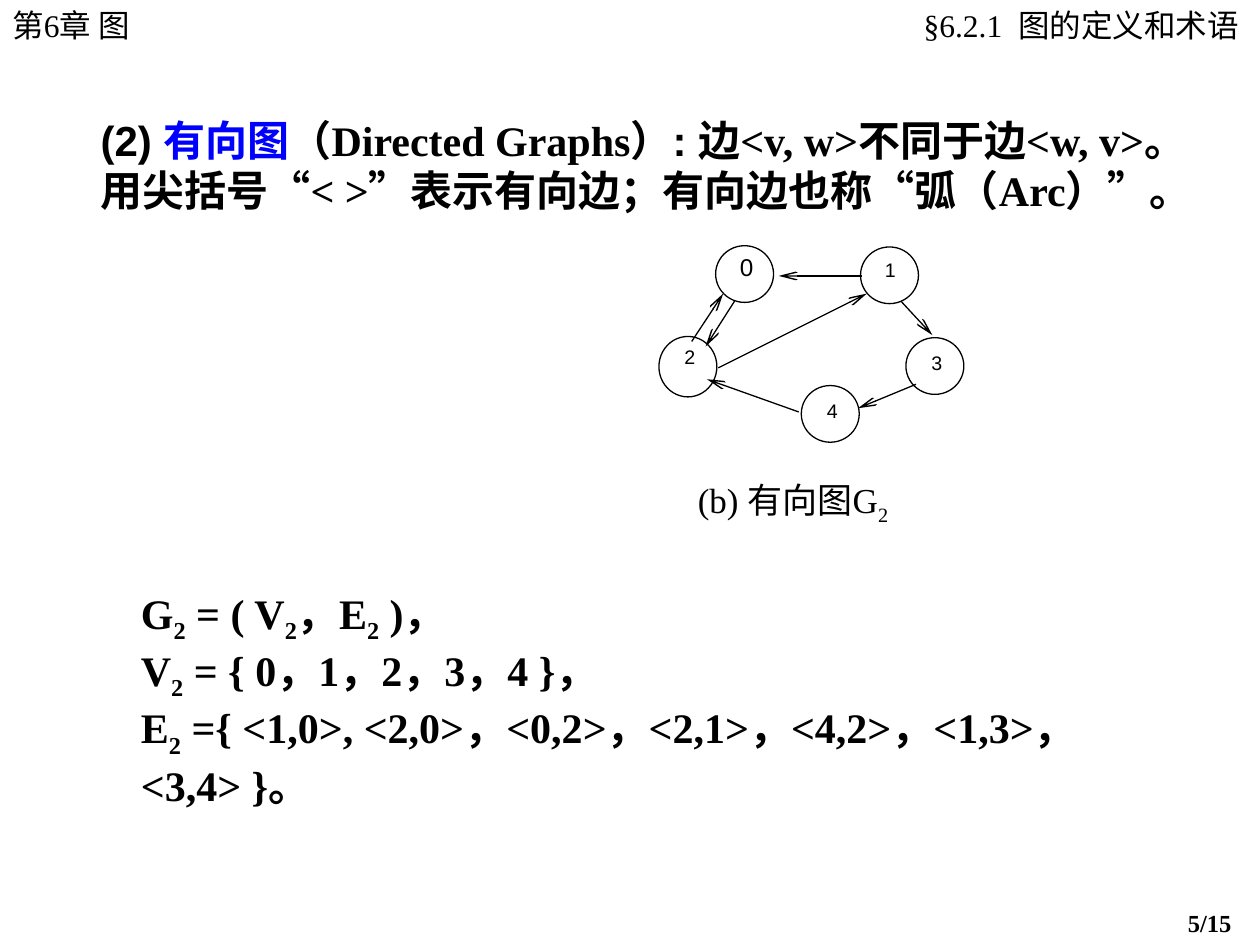
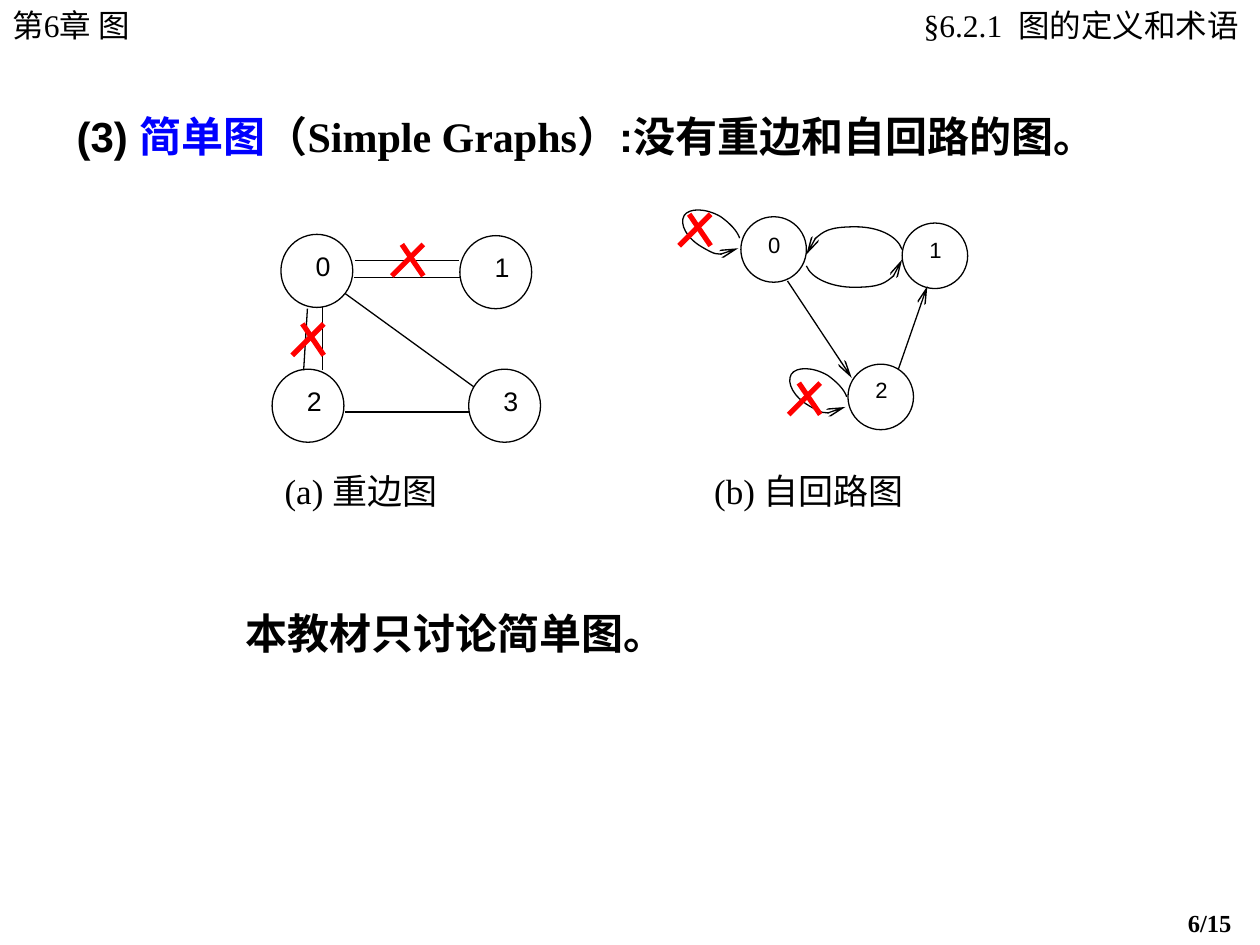
import dataclasses

import lxml.etree
import pptx
import pptx.dml.color
import pptx.enum.shapes
import pptx.enum.text
import pptx.oxml.ns
import pptx.util

Inches = pptx.util.Inches
SHAPES = pptx.enum.shapes.MSO_SHAPE
ALIGN = pptx.enum.text.PP_ALIGN
qn = pptx.oxml.ns.qn


@dataclasses.dataclass(frozen=True)
class Theme:
    ink: str = "000000"
    paper: str = "FFFFFF"
    term: str = "0000FF"
    wrong: str = "FF0000"
    serif: str = "Times New Roman"
    sans: str = "Arial"
    header: float = 18
    body: float = 24
    caption: float = 20
    page: float = 14
    thin: float = 0.75
    thick: float = 3


THEME = Theme()
SANS = {"font": THEME.sans}
TERM = {"color": THEME.term}


def rgb(value):
    return pptx.dml.color.RGBColor.from_string(value)


def add_run(p, text, size=THEME.body, font=THEME.serif, color=THEME.ink,
            bold=False, sub=False):
    r = p.add_run()
    r.text = text
    r.font.size = pptx.util.Pt(size)
    r.font.name = font
    r.font.bold = bold
    r.font.color.rgb = rgb(color)
    rpr = r._r.get_or_add_rPr()
    rpr.set("lang", "zh-CN")
    if sub:
        rpr.set("baseline", "-25000")


def write(tf, paragraphs, align=ALIGN.LEFT, spacing=None, tab=None, **base):
    """Fill tf; a paragraph is a string or a list of (text, format) runs."""
    for i, runs in enumerate(paragraphs):
        p = tf.paragraphs[0] if i == 0 else tf.add_paragraph()
        p.alignment = align
        if spacing:
            p.line_spacing = spacing
        if tab:
            tabs = lxml.etree.SubElement(p._p.get_or_add_pPr(), qn("a:tabLst"))
            lxml.etree.SubElement(tabs, qn("a:tab"),
                                  pos=str(Inches(tab)), algn="l")
        for text, fmt in [(runs, {})] if isinstance(runs, str) else runs:
            add_run(p, text, **{**base, **fmt})


def add_text(slide, box, paragraphs, right_inset=0.1, **fmt):
    sp = slide.shapes.add_textbox(*map(Inches, box))
    tf = sp.text_frame
    tf.word_wrap = True
    tf.auto_size = pptx.enum.text.MSO_AUTO_SIZE.SHAPE_TO_FIT_TEXT
    tf.margin_right = Inches(right_inset)
    write(tf, paragraphs, **fmt)


def formula(text):
    """Split text into runs; the character after each _ is a subscript."""
    first, *rest = text.split("_")
    runs = [(first, {})]
    for part in rest:
        runs.append((part[0], {"sub": True}))
        if part[1:]:
            runs.append((part[1:], {}))
    return runs


def style_line(sp, color=THEME.ink, width=THEME.thin, arrow=False):
    sp.line.color.rgb = rgb(color)
    sp.line.width = pptx.util.Pt(width)
    if arrow:
        lxml.etree.SubElement(sp.line._get_or_add_ln(), qn("a:tailEnd"),
                              type="arrow", w="sm", len="lg")


def add_line(slide, x1, y1, x2, y2, **style):
    sp = slide.shapes.add_connector(
        pptx.enum.shapes.MSO_CONNECTOR.STRAIGHT,
        *map(Inches, (x1, y1, x2, y2)))
    style_line(sp, **style)
    lxml.etree.SubElement(sp._element.spPr, qn("a:effectLst"))


def add_solid(slide, kind, box):
    sp = slide.shapes.add_shape(kind, *map(Inches, box))
    sp.shadow.inherit = False
    sp.fill.solid()
    sp.fill.fore_color.rgb = rgb(THEME.paper)
    return sp


def add_curve(slide, left, top, points):
    """Arrow along cubic Bezier segments: a start, then three points each."""
    start, *rest = [(Inches(left + x), Inches(top + y)) for x, y in points]
    builder = slide.shapes.build_freeform(*start)
    builder.add_line_segments(rest, close=False)
    sp = builder.convert_to_shape()
    lines = list(sp._element.iter(qn("a:lnTo")))
    outline = lines[0].getparent()
    for i in range(0, len(lines), 3):
        curve = lxml.etree.SubElement(outline, qn("a:cubicBezTo"))
        for line in lines[i:i + 3]:
            curve.append(line[0])
            outline.remove(line)
    sp.shadow.inherit = False
    sp.fill.background()
    style_line(sp, arrow=True)


def add_node(slide, x, y, name, width, height, label, size, dx, dy,
             spacing=0.8):
    style_line(add_solid(slide, SHAPES.OVAL, (x, y, width, height)))
    sp = add_solid(slide, SHAPES.RECTANGLE, (x + dx, y + dy, label, label))
    sp.line.fill.background()
    tf = sp.text_frame
    tf.margin_left = tf.margin_top = tf.margin_right = tf.margin_bottom = 0
    tf.vertical_anchor = pptx.enum.text.MSO_ANCHOR.TOP
    write(tf, [name], align=ALIGN.CENTER, spacing=spacing, size=size, **SANS)


def add_graph(slide, left, top, nodes, edges, arrow, **node_style):
    """Nodes are (x, y, overrides) in order of number; edges are x1, y1, x2, y2."""
    for number, (x, y, own) in enumerate(nodes):
        add_node(slide, left + x, top + y, str(number), **{**node_style, **own})
    for x1, y1, x2, y2 in edges:
        add_line(slide, left + x1, top + y1, left + x2, top + y2, arrow=arrow)


def add_cross(slide, left, top, size=0.25):
    for x1, x2 in ((0.08, size), (size, 0)):
        add_line(slide, left + x1, top, left + x2, top + size,
                 color=THEME.wrong, width=THEME.thick)


def add_frame(slide, page):
    """Running header and page number."""
    add_text(slide, (6.95, 0, 3.04, 0.4), ["§6.2.1  图的定义和术语"],
             right_inset=0.16, align=ALIGN.RIGHT, size=THEME.header)
    add_text(slide, (0, 0, 1.74, 0.4), ["第6章 图"], size=THEME.header)
    add_text(slide, (9.33, 7.16, 0.67, 0.34), [f"{page}/15"],
             size=THEME.page, bold=True)


def directed_graph(slide, left, top):
    nodes = [(0.45, 0, {"size": 13.9, "dy": 0.1}),
             (1.6, 0.01, {"dx": 0.14, "dy": 0.12}),
             (0, 0.72, {"height": 0.48, "dy": 0.1}),
             (1.96, 0.73, {}),
             (1.13, 1.11, {})]
    edges = [(0.6, 0.44, 0.37, 0.8), (1.92, 0.44, 2.17, 0.71),
             (2.04, 1.1, 1.58, 1.29), (0.47, 0.97, 1.65, 0.38),
             (1.11, 1.32, 0.38, 1.06), (0.26, 0.76, 0.51, 0.38),
             (1.61, 0.24, 0.95, 0.24)]
    add_graph(slide, left, top, nodes, edges, arrow=True, width=0.46,
              height=0.45, label=0.19, size=11.2, dx=0.15, dy=0.14)


def multi_edge_graph(slide, left, top):
    nodes = [(0.07, 0, {}), (1.49, 0.01, {}), (0, 1.07, {}), (1.56, 1.07, {})]
    edges = [(0.4, 0.58, 0.4, 1.08), (0.66, 0.21, 1.48, 0.21),
             (0.58, 0.47, 1.6, 1.21), (0.28, 0.59, 0.25, 1.08),
             (1.5, 0.34, 0.65, 0.34), (1.56, 1.41, 0.58, 1.41)]
    add_graph(slide, left, top, nodes, edges, arrow=False, width=0.57,
              height=0.58, label=0.23, size=15.3, dx=0.22, dy=0.15,
              spacing=0.9)
    for x, y in ((0.95, 0.08), (0.16, 0.71)):
        add_cross(slide, left + x, top + y)


def self_loop_graph(slide, left, top):
    nodes = [(0.49, 0.02, {"dy": 0.16}), (1.77, 0.07, {}),
             (1.34, 1.19, {"dy": 0.14})]
    edges = [(0.86, 0.53, 1.37, 1.3), (1.74, 1.23, 1.97, 0.57)]
    add_graph(slide, left, top, nodes, edges, arrow=True, width=0.52,
              height=0.52, label=0.21, size=12.6, dx=0.16, dy=0.15)
    add_curve(slide, left, top, [
        (1.01, 0.41), (1.05, 0.51), (1.21, 0.58), (1.39, 0.58),
        (1.6, 0.58), (1.77, 0.49), (1.77, 0.36)])
    add_curve(slide, left, top, [
        (1.77, 0.28), (1.73, 0.17), (1.58, 0.1), (1.4, 0.1),
        (1.18, 0.1), (1.01, 0.2), (1.01, 0.32)])
    loop = [(0.48, 0.19), (0.46, 0.13), (0.4, 0.07), (0.33, 0.02),
            (0.21, -0.05), (0.08, -0.05), (0.04, 0.01),
            (0, 0.08), (0.06, 0.19), (0.18, 0.26),
            (0.3, 0.33), (0.43, 0.34), (0.47, 0.27)]
    for x, y, cross_x, cross_y in ((0, 0, 0, 0), (0.85, 1.26, 0.87, 1.34)):
        add_curve(slide, left + x, top + y, loop)
        add_cross(slide, left + cross_x, top + cross_y)


def directed_slide(slide):
    add_frame(slide, 5)
    add_text(slide, (5.44, 3.75, 2.47, 0.48), [formula("(b) 有向图G_2")],
             size=THEME.caption)
    directed_graph(slide, 5.23, 1.95)
    add_text(slide, (0.7, 0.86, 9.14, 1.3), [[
        ("(2) ", SANS), ("有向图", TERM), ("（Directed Graphs）", {}), (": ", SANS),
        ("边<v, w>不同于边<w, v>。用尖括号“< >”表示有向边；"
         "有向边也称“弧（Arc）”。", {})]], bold=True)
    add_text(slide, (1.02, 4.61, 8.67, 1.87), [
        formula("G_2 = ( V_2，E_2 )，"),
        formula("V_2 = { 0，1，2，3，4 }，"),
        formula("E_2 ={ <1,0>, <2,0>，<0,2>，<2,1>，<4,2>，<1,3>，<3,4> }。"),
    ], bold=True)


def simple_slide(slide):
    add_frame(slide, 6)
    add_text(slide, (0.51, 0.83, 9.14, 0.5), [[
        ("(3) ", SANS), ("简单图", TERM), ("（Simple Graphs）", {}),
        (":没有重边和自回路的图", SANS), ("。", {})]], bold=True)
    self_loop_graph(slide, 5.39, 1.7)
    multi_edge_graph(slide, 2.16, 1.86)
    add_text(slide, (2.16, 3.68, 6.52, 0.44), ["(a) 重边图\t(b) 自回路图"],
             size=THEME.caption, tab=3.41)
    add_text(slide, (1.85, 4.77, 3.7, 0.5),
             [[("本教材只讨论简单图", SANS), ("。", {})]], bold=True)


def main():
    prs = pptx.Presentation()
    prs.slide_width, prs.slide_height = Inches(10), Inches(7.5)
    for build in (directed_slide, simple_slide):
        build(prs.slides.add_slide(prs.slide_layouts[6]))
    prs.save("out.pptx")


if __name__ == "__main__":
    main()
